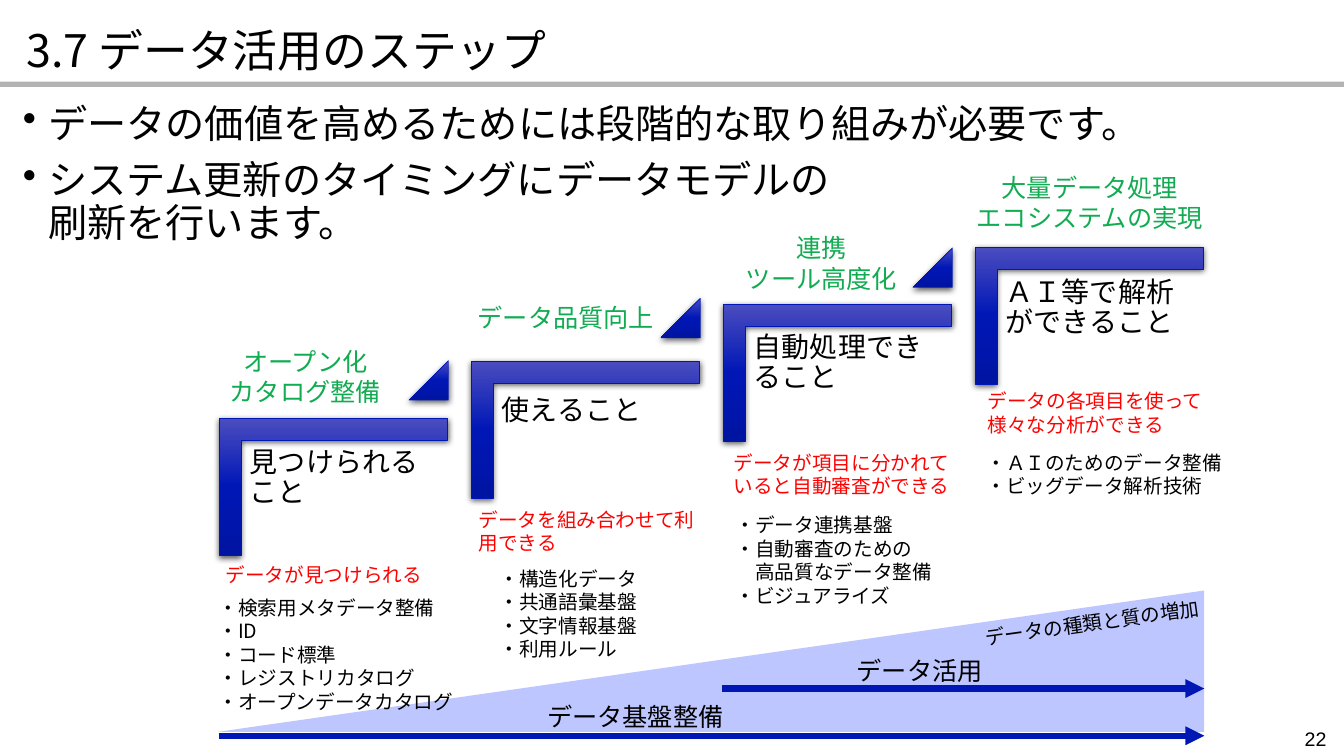
from pptx import Presentation
from pptx.dml.color import RGBColor
from pptx.enum.shapes import MSO_CONNECTOR, MSO_SHAPE
from pptx.enum.text import MSO_ANCHOR, PP_ALIGN
from pptx.oxml import parse_xml
from pptx.oxml.ns import nsdecls
from pptx.util import Cm, Pt

LEFT, CENTER, RIGHT = PP_ALIGN.LEFT, PP_ALIGN.CENTER, PP_ALIGN.RIGHT
TOP, MIDDLE = MSO_ANCHOR.TOP, MSO_ANCHOR.MIDDLE
RECT, RAMP = MSO_SHAPE.RECTANGLE, MSO_SHAPE.RIGHT_TRIANGLE
CORNER, WEDGE = MSO_SHAPE.CORNER, MSO_SHAPE.ISOSCELES_TRIANGLE
STRAIGHT = MSO_CONNECTOR.STRAIGHT

FONT = "Noto Sans CJK JP"
COLORS = {
    "text": "000000", "rule": "B3B3B3", "ramp": "BDC6FF", "blue": "0017B6",
    "light": "4B4DBF", "dark": "0014A2", "red": "FF0000", "green": "11AC51",
}
PITCH, RISE = 6.35, 1.44  # from one step to the next

# Each part is a box (left, top, width, height in cm) and its lines
STEPS = [
    {"name": (11.1, "見つけられること"), "wedge": 9.09,
     "tag": ((5.51, 8.59, 4.37, 1.8), ["オープン化", "カタログ整備"]),
     "gain": ((5.44, 14.05, 6.07, 0.86), ["データが見つけられる"]),
     "list": ((5.26, 14.88, 6.5, 3.84),
              ["・検索用メタデータ整備", "・ID", "・コード標準",
               "・レジストリカタログ", "・オープンデータカタログ"])},
    {"name": (9.78, "使えること"), "wedge": 7.52,
     "tag": ((11.76, 7.49, 5, 1.02), ["データ品質向上"]),
     "gain": ((11.81, 12.67, 6.17, 1.45), ["データを組み合わせて利用できる"]),
     "list": ((12.34, 14.15, 4.01, 2.64),
              ["・構造化データ", "・共通語彙基盤", "・文字情報基盤", "・利用ルール"])},
    {"name": (8.2, "自動処理できること"), "wedge": 6.25,
     "tag": ((18.52, 5.74, 4.37, 1.8), ["連携", "ツール高度化"]),
     "gain": ((18.24, 11.23, 5.94, 1.45), ["データが項目に分かれていると自動審査ができる"]),
     "list": ((18.29, 12.8, 5.51, 2.64),
              ["・データ連携基盤", "・自動審査のための", "　高品質なデータ整備", "・ビジュアライズ"])},
    {"name": (6.81, "ＡＩ等で解析ができること"), "wedge": None,
     "tag": ((24.33, 4.22, 6.27, 1.8), ["大量データ処理", "エコシステムの実現"]),
     "gain": ((24.64, 9.68, 5.99, 1.45), ["データの各項目を使って様々な分析ができる"]),
     "list": ((24.61, 11.23, 6.5, 1.45),
              ["・ＡＩのためのデータ整備", "・ビッグデータ解析技術"])},
]


def rgb(name):
    return RGBColor.from_string(COLORS[name])


def add_text(slide, box, lines, size, color="text", align=LEFT, wrap=False,
             font=FONT, space=None, inset=None, anchor=TOP):
    shape = slide.shapes.add_textbox(*map(Cm, box))
    frame = shape.text_frame
    frame.word_wrap = wrap
    frame.vertical_anchor = anchor
    if inset is not None:
        frame.margin_left = frame.margin_right = Cm(inset)
        frame.margin_top = frame.margin_bottom = Cm(inset)
    for i, line in enumerate(lines):
        para = frame.add_paragraph() if i else frame.paragraphs[0]
        para.text = line
        para.alignment = align
        para.line_spacing = space
        para.font.size = Pt(size)
        para.font.name = font
        para.font.color.rgb = rgb(color)
        # East Asian typeface
        para.font._element.find("{*}latin").addnext(
            parse_xml(f'<a:ea {nsdecls("a")} typeface="{font}"/>'))
    return shape


def add_points(slide, box, lines, size):
    shape = add_text(slide, box, lines, size, wrap=True, space=0.9)
    for para in shape.text_frame.paragraphs:
        para.space_before = Pt(10)
        props = para._p.get_or_add_pPr()
        props.set("marL", str(Cm(0.64)))
        props.set("indent", str(-Cm(0.64)))
        props.find("{*}defRPr").addprevious(
            parse_xml(f'<a:buChar {nsdecls("a")} char="•"/>'))


def add_flat(slide, kind, box, color):
    shape = slide.shapes.add_shape(kind, *map(Cm, box))
    shape.shadow.inherit = False
    shape.fill.solid()
    shape.fill.fore_color.rgb = rgb(color)
    shape.line.fill.background()
    return shape


def add_glossy(slide, kind, box, adjust, turn=0):
    """Blue shape with a top-down gradient and a soft shadow."""
    shape = slide.shapes.add_shape(kind, *map(Cm, box))
    shape.rotation = turn
    for i, value in enumerate(adjust):
        shape.adjustments[i] = value
    shape.line.color.rgb = rgb("blue")
    shape.line.width = Pt(0.5)
    stops = "".join(
        f'<a:gs pos="{pos}"><a:srgbClr val="{COLORS[name]}"/></a:gs>'
        for pos, name in ((0, "light"), (50000, "blue"), (100000, "dark")))
    line = shape.line._get_or_add_ln()
    line.addprevious(parse_xml(
        f'<a:gradFill {nsdecls("a")} rotWithShape="0"><a:gsLst>{stops}</a:gsLst>'
        '<a:lin ang="5400000" scaled="0"/></a:gradFill>'))
    line.addnext(parse_xml(
        f'<a:effectLst {nsdecls("a")}><a:outerShdw blurRad="{Pt(4.5)}" '
        f'dist="{Pt(1.5)}" dir="5400000" rotWithShape="0"><a:srgbClr val="000000">'
        '<a:alpha val="63000"/></a:srgbClr></a:outerShdw></a:effectLst>'))


def add_arrow(slide, left, right, y):
    arrow = slide.shapes.add_connector(
        STRAIGHT, Cm(left), Cm(y), Cm(right), Cm(y))
    arrow.line.color.rgb = rgb("blue")
    arrow.line.width = Pt(4.5)
    line = arrow.line._get_or_add_ln()
    line.append(parse_xml(f'<a:tailEnd {nsdecls("a")} type="triangle"/>'))
    line.addnext(parse_xml(f'<a:effectLst {nsdecls("a")}/>'))


def add_step(slide, i, step):
    shift = i * PITCH
    add_glossy(slide, CORNER, (6.68 + shift, 9.4 - i * RISE, 3.45, 5.74),
               (0.16, 0.16), turn=90)
    top, name = step["name"]
    add_text(slide, (6.1 + shift, top, 5.18, 4.55), [name], 20,
             wrap=True, space=0.9, inset=0.2)
    if step["wedge"]:
        add_glossy(slide, WEDGE, (10.31 + shift, step["wedge"], 0.99, 0.99), (1,))
    add_text(slide, *step["tag"], 18, "green", CENTER)
    add_text(slide, *step["gain"], 14, "red", wrap=True)
    add_text(slide, *step["list"], 14)


def main():
    deck = Presentation()
    deck.slide_width, deck.slide_height = Cm(33.87), Cm(19.05)
    slide = deck.slides.add_slide(deck.slide_layouts[6])

    # Heading and page number
    add_flat(slide, RECT, (0, 2.06, 33.87, 0.13), "rule")
    add_text(slide, (31.88, 18.19, 1.8, 0.84), ["22"], 14, align=RIGHT,
             wrap=True, font="Arial", anchor=MIDDLE)
    add_text(slide, (0.41, 0.58, 31.93, 1.5), ["3.7 データ活用のステップ"], 32,
             wrap=True, space=0.9, anchor=MIDDLE)

    # Growth ramp behind the steps
    ramp = add_flat(slide, RAMP, (5.51, 14.88, 24.84, 3.56), "ramp")
    ramp._element.spPr.xfrm.set("flipH", "1")

    add_points(slide, (0.33, 2.51, 28.19, 4.45), [
        "データの価値を高めるためには段階的な取り組みが必要です。",
        "システム更新のタイミングにデータモデルの\n刷新を行います。"], 28)

    # Staircase
    for i, step in enumerate(STEPS):
        add_step(slide, i, step)

    # Arrows and their labels
    add_arrow(slide, 5.51, 30.35, 18.54)
    add_arrow(slide, 18.19, 30.35, 17.35)
    add_text(slide, (13.54, 17.55, 5, 1.02), ["データ基盤整備"], 18)
    add_text(slide, (21.34, 16.38, 3.71, 1.02), ["データ活用"], 18)
    label = add_text(slide, (24.51, 15.27, 5.99, 0.86),
                     ["データの種類と質の増加"], 14, align=RIGHT)
    label.rotation = 352.1

    deck.save("out.pptx")


if __name__ == "__main__":
    main()
